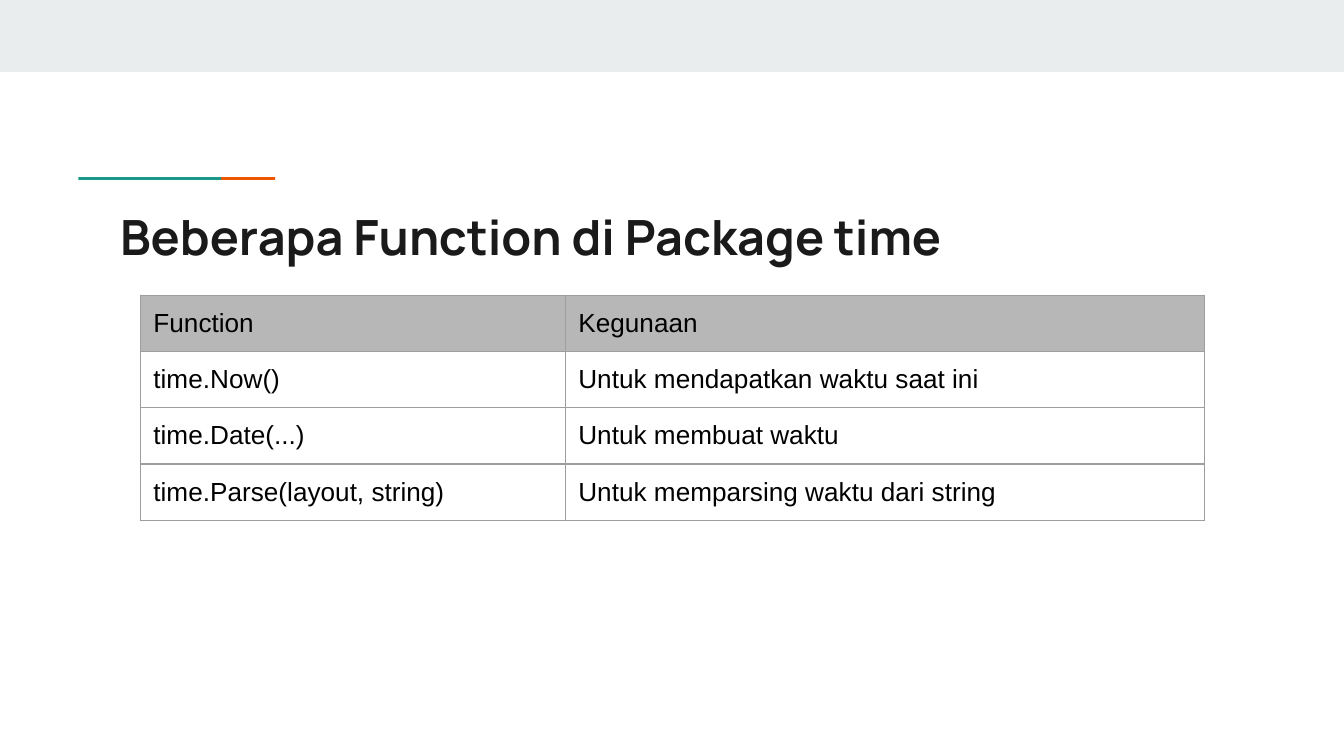
from typing import NamedTuple

from lxml.etree import SubElement
from pptx import Presentation
from pptx.dml.color import RGBColor
from pptx.enum.shapes import MSO_SHAPE as Shape
from pptx.enum.text import MSO_ANCHOR as Anchor
from pptx.oxml.ns import qn
from pptx.util import Cm, Pt

BAND_GRAY = RGBColor(0xE9, 0xED, 0xEE)
TEAL = RGBColor(0x1A, 0x99, 0x88)
ORANGE = RGBColor(0xEB, 0x56, 0x00)
INK = RGBColor(0x1A, 0x1A, 0x1A)
BLACK = RGBColor(0x00, 0x00, 0x00)
HEADER_GRAY = RGBColor(0xB7, 0xB7, 0xB7)
BORDER_GRAY = RGBColor(0x9E, 0x9E, 0x9E)

INSET = Cm(0.25)
CELL_BOTTOM_INSET = Cm(0.22)
COLUMN_WIDTHS = (8.03, 12.09)
ROW_HEIGHT = 1.06


class Bar(NamedTuple):
    left: float
    top: float
    width: float
    height: float
    color: RGBColor


class FunctionRow(NamedTuple):
    function: str
    purpose: str


# The teal bar overlaps the left part of the orange one.
BARS = (
    Bar(0, 0, 25.4, 1.36, BAND_GRAY),
    Bar(2.5, 3.35, 2.7, 0.05, ORANGE),
    Bar(1.48, 3.35, 2.7, 0.05, TEAL),
)

ROWS = (
    FunctionRow("Function", "Kegunaan"),
    FunctionRow("time.Now()", "Untuk mendapatkan waktu saat ini"),
    FunctionRow("time.Date(...)", "Untuk membuat waktu"),
    FunctionRow("time.Parse(layout, string)", "Untuk memparsing waktu dari string"),
)


def write_text(text_frame, text: str, *, font: str, size: float,
               color: RGBColor, bold: bool = False) -> None:
    text_frame.word_wrap = True
    paragraph = text_frame.paragraphs[0]
    run = paragraph.add_run()
    run.text = text
    run.font.name = font
    run.font.size = Pt(size)
    run.font.bold = bold
    run.font.color.rgb = color


def set_margins(box, bottom: Cm = INSET) -> None:
    """Apply the common inset to a text frame or a table cell."""
    box.margin_left = box.margin_right = box.margin_top = INSET
    box.margin_bottom = bottom


def add_bar(slide, bar: Bar) -> None:
    shape = slide.shapes.add_shape(
        Shape.RECTANGLE, Cm(bar.left), Cm(bar.top), Cm(bar.width), Cm(bar.height))
    shape.shadow.inherit = False
    shape.fill.solid()
    shape.fill.fore_color.rgb = bar.color
    shape.line.fill.background()


def add_title(slide, text: str) -> None:
    box = slide.shapes.add_textbox(Cm(2.02), Cm(3.66), Cm(21.36), Cm(1.5))
    set_margins(box.text_frame)
    box.text_frame.vertical_anchor = Anchor.TOP
    write_text(box.text_frame, text, font="Manrope", size=26, color=INK, bold=True)


def add_borders(cell, color: RGBColor, width: float) -> None:
    """Outline a cell; the border elements must precede its fill."""
    properties = cell._tc.get_or_add_tcPr()
    for position, side in enumerate(("a:lnL", "a:lnR", "a:lnT", "a:lnB")):
        line = SubElement(properties, qn(side), w=str(Pt(width)))
        fill = SubElement(line, qn("a:solidFill"))
        SubElement(fill, qn("a:srgbClr"), val=str(color))
        properties.insert(position, line)


def add_function_table(slide, rows: tuple[FunctionRow, ...]) -> None:
    table = slide.shapes.add_table(
        len(rows), len(COLUMN_WIDTHS), Cm(2.65), Cm(5.58),
        Cm(sum(COLUMN_WIDTHS)), Cm(ROW_HEIGHT * len(rows))).table
    table.first_row = False
    table.horz_banding = False
    for column, width in zip(table.columns, COLUMN_WIDTHS):
        column.width = Cm(width)
    for row_index, row in enumerate(rows):
        table.rows[row_index].height = Cm(ROW_HEIGHT)
        for column_index, text in enumerate(row):
            cell = table.cell(row_index, column_index)
            set_margins(cell, bottom=CELL_BOTTOM_INSET)
            cell.vertical_anchor = Anchor.TOP
            if row_index == 0:
                cell.fill.solid()
                cell.fill.fore_color.rgb = HEADER_GRAY
            else:
                cell.fill.background()
            add_borders(cell, BORDER_GRAY, 0.75)
            write_text(cell.text_frame, text, font="Arial", size=14, color=BLACK)


def main() -> None:
    presentation = Presentation()
    presentation.slide_width = Cm(25.4)
    presentation.slide_height = Cm(14.29)
    slide = presentation.slides.add_slide(presentation.slide_layouts[6])
    for bar in BARS:
        add_bar(slide, bar)
    add_title(slide, "Beberapa Function di Package time")
    add_function_table(slide, ROWS)
    presentation.save("out.pptx")


if __name__ == "__main__":
    main()
